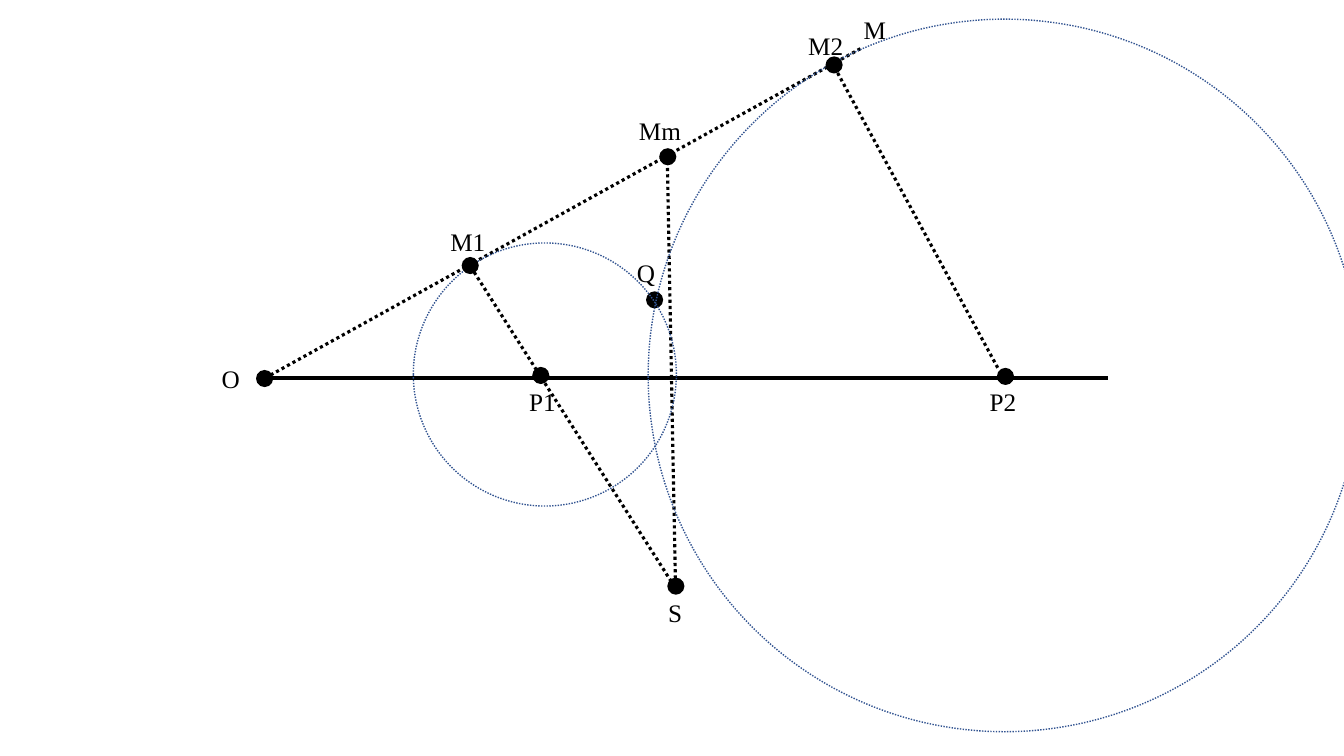
from lxml.etree import SubElement
from pptx import Presentation
from pptx.dml.color import RGBColor
from pptx.enum.dml import MSO_LINE
from pptx.enum.shapes import MSO_CONNECTOR, MSO_SHAPE
from pptx.enum.text import MSO_AUTO_SIZE
from pptx.oxml.ns import qn
from pptx.util import Pt

BLACK = "000000"
BLUE = "325491"
DOT_RADIUS = 6.12
LABEL_HEIGHT = 28.8

POINTS = {
    "O": (189, 270.4),
    "P1": (386.3, 268.2),
    "P2": (718.2, 268.9),
    "Q": (467.6, 214.2),
    "Mm": (477, 112),
    "M1": (335.9, 189.7),
    "M2": (595.8, 46.4),
    "S": (482.8, 418.7),
}
DOTS_BELOW_CIRCLES = ("O", "P1", "P2", "Q")
DOTS_ABOVE_CIRCLES = ("Mm", "M1", "M2", "S")

AXIS = ((189.4, 270), (791.3, 270))
DOTTED_SEGMENTS = (
    ((189.4, 270), (614.9, 34.6)),
    ((479.5, 415.4), (335.5, 189.4)),
    ((596.2, 48.2), (713.5, 264.2)),
    ((482.4, 413.3), (476.6, 111.6)),
)
CIRCLES = (((389.2, 267.5), 93.96), ((717.5, 268.2), 254.5))
LABELS = (
    ("O", 151.2, 256.3, 35.3),
    ("Q", 447.8, 180, 35.3),
    ("P1", 370.8, 272.2, 35.3),
    ("P2", 699.8, 272.2, 35.3),
    ("M", 609.8, 6.5, 35.3),
    ("M1", 314.6, 158.4, 48.2),
    ("M2", 570.2, 18, 48.2),
    ("Mm", 449.3, 78.5, 48.2),
    ("S", 470.2, 423.4, 21.6),
)


def color(hex_code):
    """Return the colour for a hex string."""
    return RGBColor.from_string(hex_code)


def add_segment(slide, left, top, start, end, dash=None):
    """Draw a black line between two points of the box."""
    segment = slide.shapes.add_connector(
        MSO_CONNECTOR.STRAIGHT,
        Pt(left + start[0]), Pt(top + start[1]),
        Pt(left + end[0]), Pt(top + end[1]))
    segment.line.color.rgb = color(BLACK)
    segment.line.width = Pt(2.25)
    if dash:
        segment.line.dash_style = dash
    SubElement(segment._element.spPr, qn("a:effectLst"))


def add_round(slide, left, top, center, radius):
    """Add an ellipse of equal axes around a point of the box."""
    x, y = center
    round_shape = slide.shapes.add_shape(
        MSO_SHAPE.OVAL, Pt(left + x - radius), Pt(top + y - radius),
        Pt(2 * radius), Pt(2 * radius))
    round_shape.shadow.inherit = False
    return round_shape


def add_dots(slide, left, top, names):
    """Mark the named points with black dots."""
    for name in names:
        dot = add_round(slide, left, top, POINTS[name], DOT_RADIUS)
        dot.fill.solid()
        dot.fill.fore_color.rgb = color(BLACK)
        dot.line.fill.background()


def add_circles(slide, left, top):
    """Draw the dotted blue circles around P1 and P2."""
    for center, radius in CIRCLES:
        circle = add_round(slide, left, top, center, radius)
        circle.fill.background()
        circle.line.color.rgb = color(BLUE)
        circle.line.width = Pt(1)
        circle.line.dash_style = MSO_LINE.ROUND_DOT


def add_labels(slide, left, top):
    """Write the name beside each point."""
    for name, x, y, width in LABELS:
        label = slide.shapes.add_textbox(
            Pt(left + x), Pt(top + y), Pt(width), Pt(LABEL_HEIGHT))
        frame = label.text_frame
        frame.word_wrap = True
        frame.auto_size = MSO_AUTO_SIZE.SHAPE_TO_FIT_TEXT
        paragraph = frame.paragraphs[0]
        paragraph.text = name
        paragraph.font.name = "Times New Roman"
        paragraph.font.size = Pt(18)
        paragraph.font.color.rgb = color(BLACK)


def add_construction(slide, left, top):
    """Draw the whole geometric construction from the given corner."""
    add_segment(slide, left, top, *AXIS)
    for start, end in DOTTED_SEGMENTS:
        add_segment(slide, left, top, start, end, MSO_LINE.ROUND_DOT)
    add_dots(slide, left, top, DOTS_BELOW_CIRCLES)
    add_circles(slide, left, top)
    add_dots(slide, left, top, DOTS_ABOVE_CIRCLES)
    add_labels(slide, left, top)


def main():
    """Build and save the slide."""
    presentation = Presentation()
    presentation.slide_width = Pt(960)
    presentation.slide_height = Pt(540)
    slide = presentation.slides.add_slide(presentation.slide_layouts[6])
    add_construction(slide, 0, 0)
    presentation.save("out.pptx")


if __name__ == "__main__":
    main()
